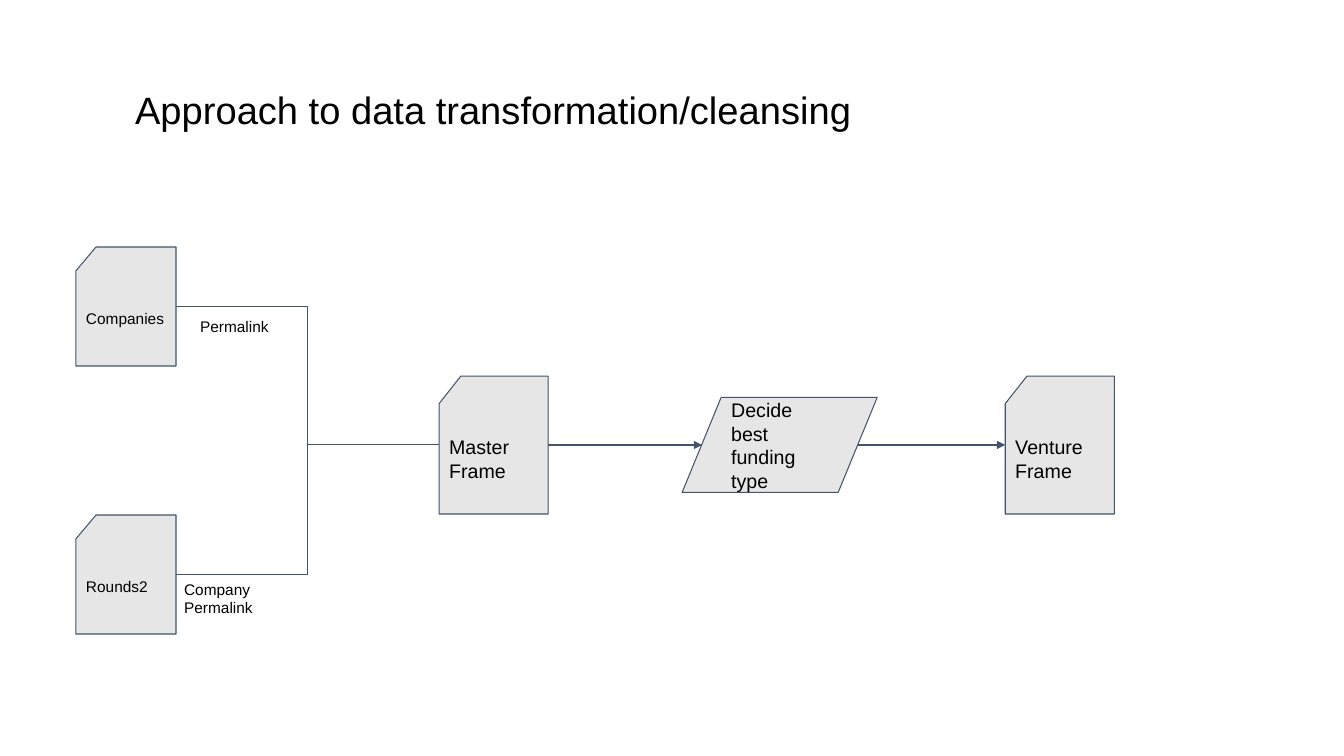
import pptx
import pptx.util
import pptx.dml.color
import pptx.enum.shapes
import pptx.enum.text
import pptx.oxml
import pptx.oxml.ns

SHAPE = pptx.enum.shapes.MSO_SHAPE
LINK = pptx.enum.shapes.MSO_CONNECTOR
ANCHOR = pptx.enum.text.MSO_ANCHOR
CARD, DATA = SHAPE.FLOWCHART_CARD, SHAPE.FLOWCHART_DATA

# Content: boxes are left, top, width, height in pixels
TITLE = ("Approach to data transformation/cleansing", (125, 70, 1027, 95))
FLOW_Y = 445
SOURCES = [("Companies", 247), ("Rounds2", 515)]
SOURCE_X, SOURCE_W, SOURCE_H = 76, 100, 119
STEPS = [  # text, shape, left, width, height, left and right edge at mid-height
    ("Master Frame", CARD, 439, 109, 138, 439, 548),
    ("Decide best funding type", DATA, 682, 195, 95, 702, 858),
    ("Venture Frame", CARD, 1005, 109, 138, 1005, 1114),
]
KEYS = [("Permalink", (190, 307, 101, 22)),
        ("Company Permalink", (174, 570, 109, 22))]
FILL, LINE, INK = "E7E6E6", "44546A", "000000"
PX = 914400 / 100.8


def px(*values):
    return [round(v * PX) for v in values]


def color(value):
    return pptx.dml.color.RGBColor.from_string(value)


def set_line(sp):
    sp.line.color.rgb = color(LINE)
    sp.line.width = pptx.util.Pt(0.75)


def write(sp, text, size, **extra):
    tf = sp.text_frame
    inset = px(10)[0]
    frame = {"word_wrap": True, "auto_size": pptx.enum.text.MSO_AUTO_SIZE.NONE,
             "vertical_anchor": ANCHOR.MIDDLE,
             "margin_left": inset, "margin_right": inset,
             "margin_top": inset, "margin_bottom": inset, **extra}
    for name, value in frame.items():
        setattr(tf, name, value)
    p = tf.paragraphs[0]
    p.alignment = pptx.enum.text.PP_ALIGN.LEFT
    r = p.add_run()
    r.text = text
    for name, value in {"size": pptx.util.Pt(size), "name": "Arial"}.items():
        setattr(r.font, name, value)
    r.font.color.rgb = color(INK)
    return p


def add_node(text, kind, box, size):
    sp = slide.shapes.add_shape(kind, *px(*box))
    sp.shadow.inherit = False
    sp.fill.solid()
    sp.fill.fore_color.rgb = color(FILL)
    set_line(sp)
    write(sp, text, size)


def add_link(kind, ends, arrow=False):
    sp = slide.shapes.add_connector(kind, *px(*ends))
    set_line(sp)
    ns = pptx.oxml.ns.nsdecls("a")
    sp_pr = sp._element.spPr
    if arrow:
        ln = sp_pr.find(pptx.oxml.ns.qn("a:ln"))
        ln.append(pptx.oxml.parse_xml(f'<a:tailEnd {ns} type="triangle"/>'))
    sp_pr.append(pptx.oxml.parse_xml(f"<a:effectLst {ns}/>"))


prs = pptx.Presentation()
prs.slide_width = pptx.util.Inches(13.33)
prs.slide_height = pptx.util.Inches(7.5)
slide = prs.slides.add_slide(prs.slide_layouts[5])

# Title
text, box = TITLE
title = slide.shapes.title
for name, value in zip(("left", "top", "width", "height"), px(*box)):
    setattr(title, name, value)
p = write(title, text, 27.2, margin_top=px(5)[0], margin_bottom=px(15)[0])
p.line_spacing = 0.9

# Source tables, joined into the first step
for text, top in SOURCES:
    add_node(text, CARD, (SOURCE_X, top, SOURCE_W, SOURCE_H), 11)
    add_link(LINK.ELBOW, (SOURCE_X + SOURCE_W, top + SOURCE_H / 2,
                          STEPS[0][2], FLOW_Y))

# Join keys
for text, box in KEYS:
    write(slide.shapes.add_textbox(*px(*box)), text, 11,
          vertical_anchor=ANCHOR.TOP)

# Steps, centred on the flow line
for text, kind, left, width, height, *edges in STEPS:
    add_node(text, kind, (left, FLOW_Y - height / 2, width, height), 14)

# Arrows between neighbouring steps
for start, end in zip(STEPS, STEPS[1:]):
    add_link(LINK.STRAIGHT, (start[-1], FLOW_Y, end[-2], FLOW_Y), arrow=True)

prs.save("out.pptx")
